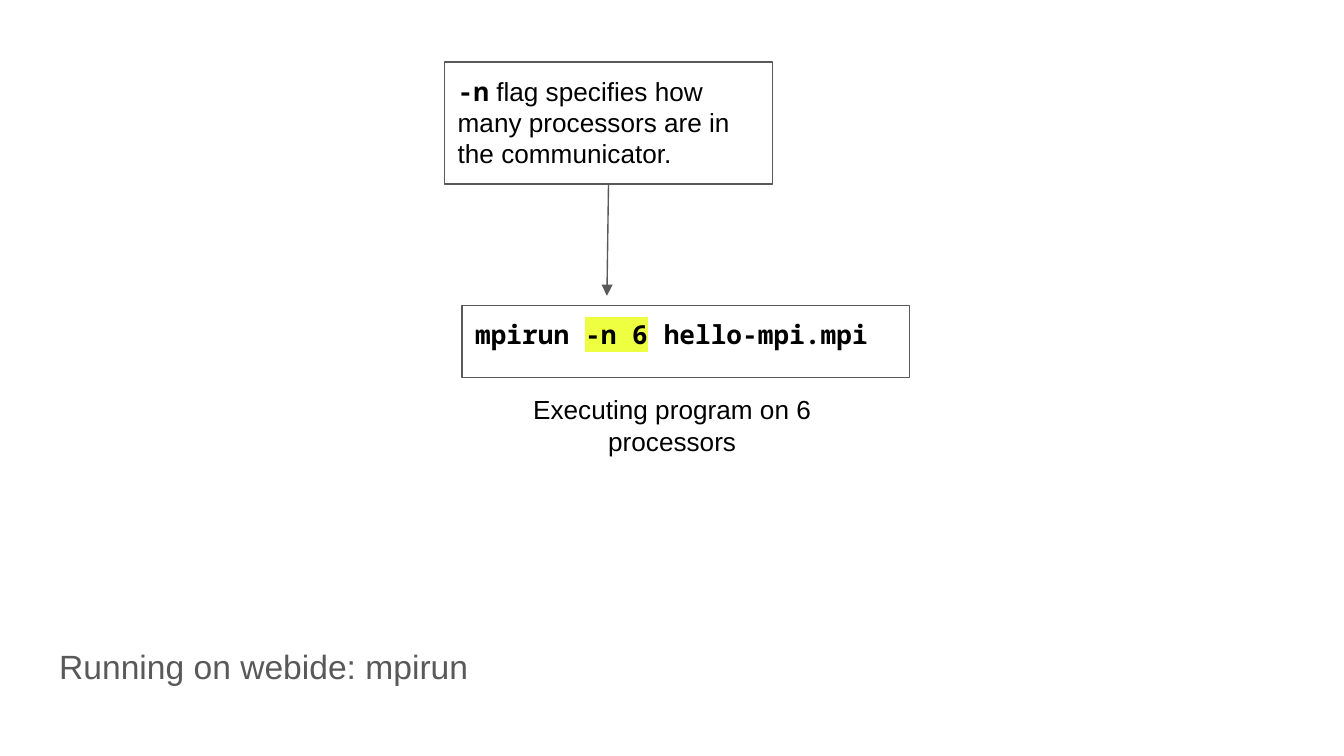
from lxml.etree import SubElement
from pptx import Presentation
from pptx.dml.color import RGBColor
from pptx.enum.shapes import MSO_CONNECTOR, MSO_SHAPE
from pptx.enum.text import MSO_ANCHOR, PP_ALIGN
from pptx.oxml.ns import qn
from pptx.util import Cm, Pt

GRAY = RGBColor(0x59, 0x59, 0x59)
BLACK = RGBColor(0x00, 0x00, 0x00)
YELLOW = RGBColor(0xEE, 0xFF, 0x41)
SANS = "Arial"
MONO = "Noto Sans Mono"
INSET = Cm(0.25)


def highlight(r, color):
    hl = SubElement(r.font._element if hasattr(r.font, "_element") else r._r.get_or_add_rPr(),
                    qn("a:highlight"))
    SubElement(hl, qn("a:srgbClr"), val=str(color))
    r._r.get_or_add_rPr().find(qn("a:latin")).addprevious(hl)


def add_run(p, text, font=SANS, size=14, color=BLACK):
    r = p.add_run()
    r.text = text
    r.font.name = font
    r.font.size = Pt(size)
    r.font.bold = font == MONO
    r.font.color.rgb = color
    return r


def set_frame(sp, anchor=MSO_ANCHOR.TOP, align=PP_ALIGN.LEFT):
    tf = sp.text_frame
    tf.word_wrap = True
    tf.vertical_anchor = anchor
    tf.margin_left = tf.margin_right = tf.margin_top = tf.margin_bottom = INSET
    p = tf.paragraphs[0]
    p.alignment = align
    return p


def add_text(shapes, box, text, size=14, color=BLACK, **layout):
    sp = shapes.add_textbox(*map(Cm, box))
    add_run(set_frame(sp, **layout), text, size=size, color=color)


def add_box(shapes, box):
    sp = shapes.add_shape(MSO_SHAPE.RECTANGLE, *map(Cm, box))
    sp.shadow.inherit = False
    sp.fill.background()
    sp.line.color.rgb = GRAY
    sp.line.width = Pt(0.75)
    return set_frame(sp)


def add_arrow(shapes, start, end):
    cx = shapes.add_connector(MSO_CONNECTOR.STRAIGHT, *map(Cm, start + end))
    cx.line.color.rgb = GRAY
    cx.line.width = Pt(0.75)
    SubElement(cx.line._get_or_add_ln(), qn("a:tailEnd"), type="triangle")
    SubElement(cx._element.spPr, qn("a:effectLst"))


def main():
    """Build the slide that explains the mpirun command."""
    prs = Presentation()
    prs.slide_width, prs.slide_height = Cm(25.4), Cm(14.29)
    shapes = prs.slides.add_slide(prs.slide_layouts[6]).shapes

    add_text(shapes, (0.87, 11.76, 16.66, 1.68), "Running on webide: mpirun",
             size=18, color=GRAY, anchor=MSO_ANCHOR.MIDDLE)

    p = add_box(shapes, (8.73, 5.77, 8.46, 1.37))
    add_run(p, "mpirun ", MONO)
    highlight(add_run(p, "-n 6", MONO), YELLOW)
    add_run(p, " hello-mpi.mpi", MONO)

    add_text(shapes, (8.73, 7.19, 7.95, 1.37), "Executing program on 6 processors",
             align=PP_ALIGN.CENTER)

    callout = shapes.add_group_shape().shapes
    p = add_box(callout, (8.4, 1.17, 6.2, 2.31))
    add_run(p, "-n", MONO)
    add_run(p, " flag specifies how many processors are in the communicator.")
    add_arrow(callout, (11.5, 3.48), (11.47, 5.59))

    prs.save("out.pptx")


if __name__ == "__main__":
    main()
